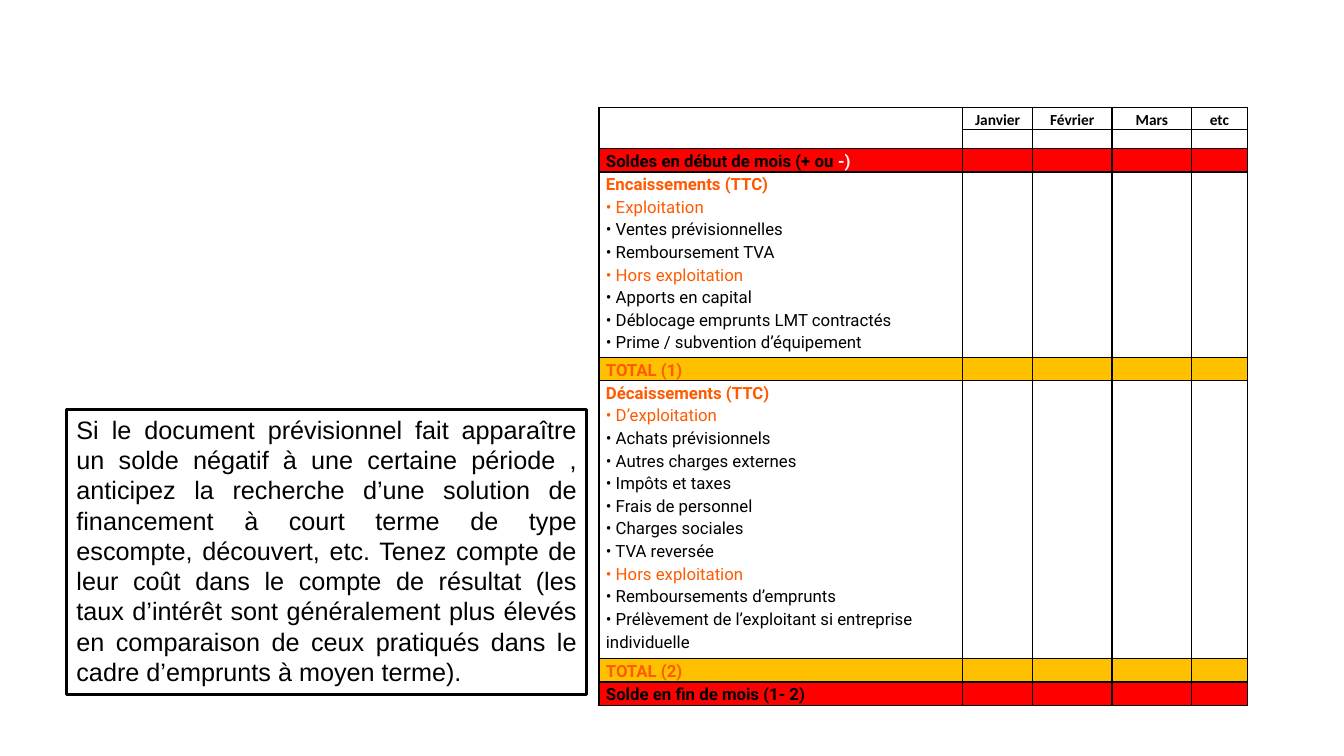
"""Build the cash-flow plan slide with its table and advice box."""
from dataclasses import dataclass

from lxml import etree
from pptx import Presentation
from pptx.dml.color import RGBColor
from pptx.enum import shapes, text
from pptx.oxml.ns import qn
from pptx.util import Inches, Pt

ADVICE = (
    "Si le document prévisionnel fait apparaître un solde négatif à une certaine période , "
    "anticipez la recherche d’une solution de financement à court terme de type escompte, "
    "découvert, etc. Tenez compte de leur coût dans le compte de résultat (les taux d’intérêt "
    "sont généralement plus élevés en comparaison de ceux pratiqués dans le cadre d’emprunts "
    "à moyen terme)."
)
MONTHS = ["Janvier", "Février", "Mars", "etc"]
RECEIPTS = [
    ("heading", "Encaissements (TTC)"),
    ("group", "• Exploitation"),
    ("item", "• Ventes prévisionnelles"),
    ("item", "• Remboursement TVA"),
    ("group", "• Hors exploitation"),
    ("item", "• Apports en capital"),
    ("item", "• Déblocage emprunts LMT contractés"),
    ("item", "• Prime / subvention d’équipement"),
]
PAYMENTS = [
    ("heading", "Décaissements (TTC)"),
    ("group", "• D’exploitation"),
    ("item", "• Achats prévisionnels"),
    ("item", "• Autres charges externes"),
    ("item", "• Impôts et taxes"),
    ("item", "• Frais de personnel"),
    ("item", "• Charges sociales"),
    ("item", "• TVA reversée"),
    ("group", "• Hors exploitation"),
    ("item", "• Remboursements d’emprunts"),
    ("item", "• Prélèvement de l’exploitant si entreprise individuelle"),
]
OPENING, OPENING_SIGN = "Soldes en début de mois (+ ou", " -)"
ROWS = [
    (0.21, "white", []),
    (0.19, "white", []),
    (0.23, "red", [("balance", OPENING)]),
    (1.84, "white", RECEIPTS),
    (0.23, "amber", [("heading", "TOTAL (1)")]),
    (2.76, "white", PAYMENTS),
    (0.23, "amber", [("heading", "TOTAL (2)")]),
    (0.23, "red", [("balance", "Solde en fin de mois (1- 2)")]),
]
COLUMNS = [3.61, 0.69, 0.79, 0.79, 0.55]


@dataclass(frozen=True)
class Theme:
    """Colours, fonts and sizes of the slide."""

    black: str = "000000"
    white: str = "FFFFFF"
    red: str = "FF0000"
    amber: str = "FFC000"
    orange: str = "FF5A00"
    label_font: str = "Roboto"
    month_font: str = "Calibri"
    advice_font: str = "Arial"
    label_size: int = 12
    month_size: int = 11
    advice_size: int = 18
    empty_size: int = 8
    spacing: float = 1.15


THEME = Theme()
STYLES = {
    "heading": (THEME.label_font, THEME.label_size, THEME.orange, True),
    "group": (THEME.label_font, THEME.label_size, THEME.orange, False),
    "item": (THEME.label_font, THEME.label_size, THEME.black, False),
    "balance": (THEME.label_font, THEME.label_size, THEME.black, True),
    "month": (THEME.month_font, THEME.month_size, THEME.black, True),
    "advice": (THEME.advice_font, THEME.advice_size, THEME.black, False),
}


def set_font(font, style):
    """Apply a named style to a font."""
    font.name, size, color, font.bold = STYLES[style]
    font.size = Pt(size)
    font.color.rgb = RGBColor.from_string(color)


def set_borders(cell, hidden):
    """Draw the cell's borders, leaving out the hidden side."""
    properties = cell._tc.get_or_add_tcPr()
    for index, side in enumerate(["lnL", "lnR", "lnT", "lnB"]):
        line = etree.Element(qn(f"a:{side}"), w=str(Pt(1)))
        if side == hidden:
            etree.SubElement(line, qn("a:noFill"))
        else:
            fill = etree.SubElement(line, qn("a:solidFill"))
            etree.SubElement(fill, qn("a:srgbClr"), val=THEME.black)
        properties.insert(index, line)


def write_cell(cell, lines, align):
    """Fill a cell with styled paragraphs."""
    cell.margin_left = cell.margin_right = Inches(0.07)
    cell.margin_top = cell.margin_bottom = 0
    frame = cell.text_frame
    if not lines:
        end = frame.paragraphs[0]._p.get_or_add_endParaRPr()
        end.set("sz", str(THEME.empty_size * 100))
    for index, (style, words) in enumerate(lines):
        para = frame.add_paragraph() if index else frame.paragraphs[0]
        para.alignment, para.line_spacing = align, THEME.spacing
        set_font(para.font, style)
        para.add_run().text = words
        if words == OPENING:
            span = para.add_run()
            span.text = OPENING_SIGN
            span.font.color.rgb = RGBColor.from_string(THEME.white)


def add_plan(page):
    """Add the monthly cash-flow table."""
    heights = [row[0] for row in ROWS]
    frame = page.shapes.add_table(
        len(ROWS), len(COLUMNS), Inches(5.94), Inches(1.07),
        Inches(sum(COLUMNS)), Inches(sum(heights)))
    plan = frame.table
    plan.first_row = plan.horz_banding = False
    for column, width in zip(plan.columns, COLUMNS):
        column.width = Inches(width)
    hidden_sides = {(0, 0): "lnB", (1, 0): "lnT"}
    for row_index, (height, shade, labels) in enumerate(ROWS):
        plan.rows[row_index].height = Inches(height)
        for column_index in range(len(COLUMNS)):
            cell = plan.cell(row_index, column_index)
            cell.fill.solid()
            cell.fill.fore_color.rgb = RGBColor.from_string(getattr(THEME, shade))
            set_borders(cell, hidden_sides.get((row_index, column_index)))
            if column_index == 0:
                write_cell(cell, labels, text.PP_ALIGN.LEFT)
            else:
                months = [("month", MONTHS[column_index - 1])] if row_index == 0 else []
                write_cell(cell, months, text.PP_ALIGN.CENTER)


def add_advice(page):
    """Add the framed advice text."""
    box = page.shapes.add_shape(
        shapes.MSO_SHAPE.RECTANGLE, Inches(0.66), Inches(4.06), Inches(5.16), Inches(2.83))
    box.shadow.inherit = False
    box.fill.solid()
    box.fill.fore_color.rgb = RGBColor.from_string(THEME.white)
    box.line.color.rgb = RGBColor.from_string(THEME.black)
    box.line.width = Pt(2)
    frame = box.text_frame
    frame.word_wrap = True
    frame.auto_size = text.MSO_AUTO_SIZE.SHAPE_TO_FIT_TEXT
    frame.vertical_anchor = text.MSO_ANCHOR.TOP
    para = frame.paragraphs[0]
    para.alignment = text.PP_ALIGN.JUSTIFY
    set_font(para.font, "advice")
    para.add_run().text = ADVICE


def main():
    """Build and save the deck."""
    deck = Presentation()
    deck.slide_width, deck.slide_height = Inches(13.33), Inches(7.5)
    page = deck.slides.add_slide(deck.slide_layouts[6])
    add_plan(page)
    add_advice(page)
    deck.save("out.pptx")


if __name__ == "__main__":
    main()
